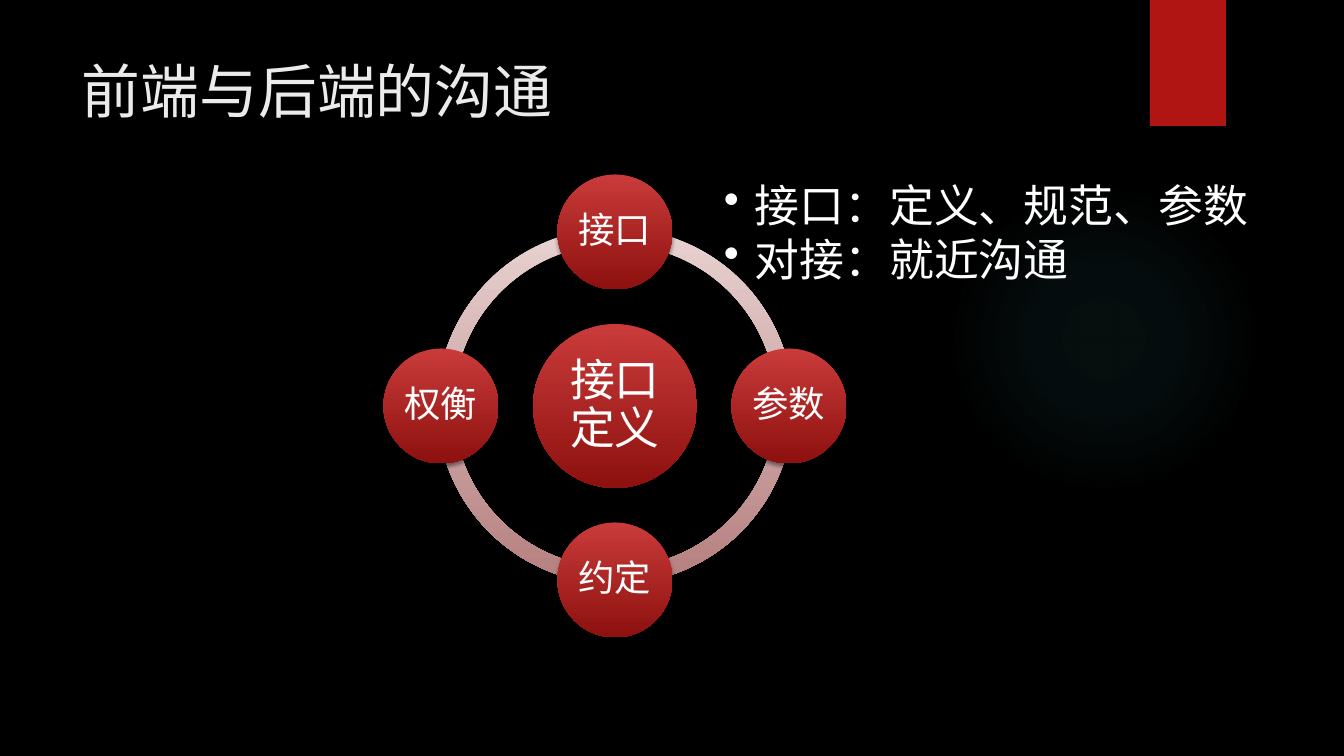
from pptx import Presentation
from pptx.dml.color import RGBColor as RGB
from pptx.enum.shapes import MSO_SHAPE as Kind
from pptx.enum.text import MSO_ANCHOR as Anchor, PP_ALIGN as Align
from pptx.oxml import parse_xml
from pptx.oxml.ns import nsdecls, qn
from pptx.util import Pt

BLACK = RGB(0x00, 0x00, 0x00)
WHITE = RGB(0xFF, 0xFF, 0xFF)
PALE = RGB(0xEB, 0xEB, 0xEB)
RED = RGB(0xB0, 0x15, 0x13)
TEAL = RGB(0x50, 0xB9, 0xC1)
BALL = RGB(0xC9, 0x3B, 0x3A), RGB(0x8D, 0x11, 0x0F)
RING = RGB(0xE8, 0xD2, 0xD1), RGB(0xB5, 0x7F, 0x7F)
WIDE, HIGH = 1344, 756
MID_X, MID_Y, ORBIT = 615, 406, 174


def emu(px):
    return round(px * 12192000 / WIDE)


class Deck:
    """Draws styled elements on one dark slide."""

    font = "Quicksand"

    def __init__(self):
        self.prs = Presentation()
        self.prs.slide_width, self.prs.slide_height = emu(WIDE), emu(HIGH)
        self.slide = self.prs.slides.add_slide(self.prs.slide_layouts[6])
        back = self.slide.background.fill
        back.solid()
        back.fore_color.rgb = BLACK

    def shape(self, kind, x, y, w, h, fill, shade=True):
        item = self.slide.shapes.add_shape(kind, *map(emu, (x, y, w, h)))
        item.line.fill.background()
        if isinstance(fill, RGB):
            item.fill.solid()
            item.fill.fore_color.rgb = fill
        else:
            item.fill.gradient()
            item.fill.gradient_angle = 270
            for stop, tint in zip(item.fill.gradient_stops, fill):
                stop.color.rgb = tint
        item.shadow.inherit = False
        if shade:
            item._element.spPr.find(qn("a:effectLst")).append(parse_xml(
                f'<a:outerShdw {nsdecls("a")} blurRad="{Pt(3)}" dist="{Pt(2)}" '
                'dir="5400000" rotWithShape="0"><a:srgbClr val="000000">'
                '<a:alpha val="45000"/></a:srgbClr></a:outerShdw>'))
        return item

    def glow(self, x, y, size, tint, stops):
        item = self.shape(Kind.OVAL, x, y, size, size, tint, shade=False)
        marks = "".join(
            f'<a:gs pos="{pos}000"><a:srgbClr val="{tint}">'
            f'<a:alpha val="{alpha}000"/></a:srgbClr></a:gs>'
            for pos, alpha in stops)
        props = item._element.spPr
        props.replace(props.find(qn("a:solidFill")), parse_xml(
            f'<a:gradFill {nsdecls("a")}><a:gsLst>{marks}</a:gsLst>'
            '<a:path path="circle"><a:fillToRect l="50000" t="50000" '
            'r="50000" b="50000"/></a:path></a:gradFill>'))

    def run(self, para, text, size, tint):
        run = para.add_run()
        run.text = text
        run.font.name, run.font.size = self.font, Pt(size)
        run.font.color.rgb = tint
        run.font._element.find(qn("a:latin")).addnext(parse_xml(
            f'<a:ea {nsdecls("a")} typeface="{self.font}"/>'))

    def text(self, x, y, w, h, lines, size, tint, bullet=False):
        box = self.slide.shapes.add_textbox(*map(emu, (x, y, w, h)))
        frame = box.text_frame
        frame.word_wrap = True
        for i, line in enumerate(lines):
            para = frame.add_paragraph() if i else frame.paragraphs[0]
            self.run(para, line, size, tint)
            if bullet:
                props = para._p.get_or_add_pPr()
                props.set("marL", str(emu(31)))
                props.set("indent", str(-emu(31)))
                props.append(parse_xml(f'<a:buChar {nsdecls("a")} char="•"/>'))

    def ball(self, x, y, size, label, points):
        item = self.shape(Kind.OVAL, x - size / 2, y - size / 2,
                          size, size, BALL)
        frame = item.text_frame
        frame.word_wrap = True
        frame.vertical_anchor = Anchor.MIDDLE
        frame.margin_left = frame.margin_right = emu(3)
        frame.margin_top = frame.margin_bottom = emu(3)
        para = frame.paragraphs[0]
        para.alignment, para.line_spacing = Align.CENTER, 0.9
        self.run(para, label, points, WHITE)

    def arc(self, x, y, size, start, end):
        item = self.shape(Kind.BLOCK_ARC, x - size / 2, y - size / 2,
                          size, size, RING)
        for i, value in enumerate((start, end, 0.046)):
            item.adjustments[i] = value


def main():
    deck = Deck()
    deck.glow(949, 184, 310, TEAL, ((0, 7), (36, 6), (69, 0)))
    deck.shape(Kind.RECTANGLE, 1150, 0, 76, 126, RED)
    deck.text(72, 50, 1037, 98, ["前端与后端的沟通"], 42, PALE)
    for turn in range(4):
        deck.arc(MID_X, MID_Y, 356, turn * 54, (turn + 1) % 4 * 54)
    deck.ball(MID_X, MID_Y, 164, "接口定义", 32)
    for label, dx, dy in (("接口", 0, -1), ("参数", 1, 0),
                          ("约定", 0, 1), ("权衡", -1, 0)):
        deck.ball(MID_X + dx * ORBIT, MID_Y + dy * ORBIT, 115, label, 26)
    deck.text(714, 173, 630, 173, ["接口：定义、规范、参数", "对接：就近沟通"],
              32, WHITE, bullet=True)
    deck.prs.save("out.pptx")


if __name__ == "__main__":
    main()
